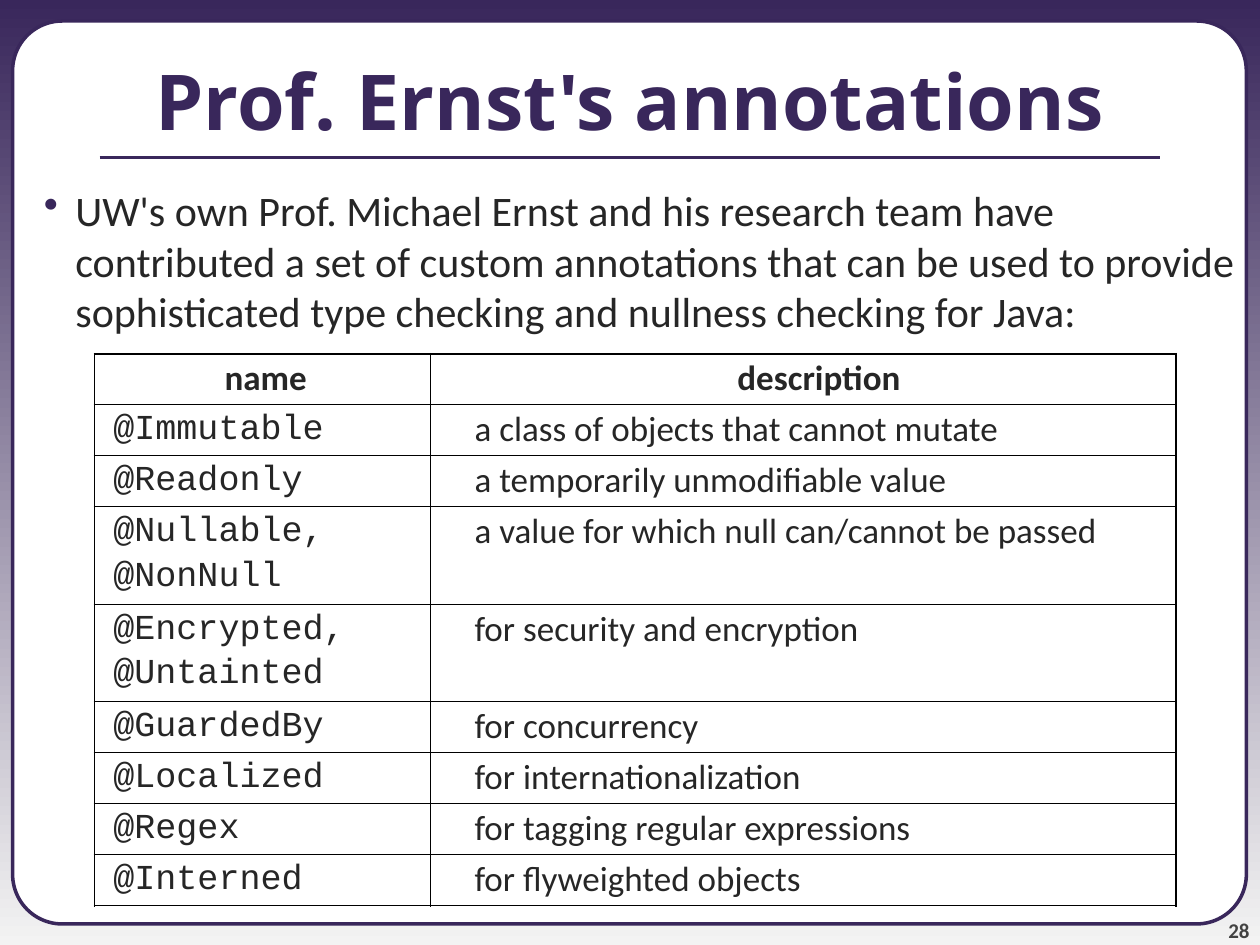
import pptx
import pptx.util
import pptx.dml.color
import pptx.enum.shapes
import pptx.enum.text
import pptx.oxml
import pptx.oxml.ns

ALIGN = pptx.enum.text.PP_ALIGN
ANCHOR = pptx.enum.text.MSO_ANCHOR
Pt = pptx.util.Pt
rgb = pptx.dml.color.RGBColor.from_string

THEME = {
    "purple": "39275B", "pale": "F3F3F3", "white": "FFFFFF",
    "ink": "262626", "grey": "424242", "rule": "000000",
    "title": {"name": "Open Sans", "size": Pt(44), "bold": True},
    "body": {"name": "Calibri", "size": Pt(24), "bold": False},
    "number": {"name": "Calibri", "size": Pt(12), "bold": True},
    "header": {"name": "Calibri", "size": Pt(20), "bold": True},
    "code": {"name": "Courier New", "size": Pt(20), "bold": False},
    "cell": {"name": "Calibri", "size": Pt(20), "bold": False},
    "outer": 1.08, "inner": 0.45,
}

deck = pptx.Presentation()
deck.slide_width = pptx.util.Inches(10)
deck.slide_height = pptx.util.Inches(7.5)
slide = deck.slides.add_slide(deck.slide_layouts[6])
UNIT = deck.slide_width / 120  # the grid has 120 columns and 90 rows


def grid(*counts):
    """Turn counts of grid columns or rows into lengths."""
    return [round(count * UNIT) for count in counts]


def write(frame, lines, style, color, align, margins=(1.2, 0.6), anchor=ANCHOR.TOP,
          left=0, indent=0, spacing=None, bullet=None):
    """Fill a text frame or table cell with one paragraph for each line."""
    text_frame = getattr(frame, "text_frame", frame)
    text_frame.word_wrap = True
    side, edge = grid(*margins)
    for name, value in {"margin_left": side, "margin_right": side, "margin_top": edge,
                        "margin_bottom": edge, "vertical_anchor": anchor}.items():
        setattr(frame, name, value)
    for index, line in enumerate(lines):
        para = text_frame.add_paragraph() if index else text_frame.paragraphs[0]
        properties = para._p.get_or_add_pPr()
        margin, first = grid(left, indent)
        properties.set("marL", str(margin))
        properties.set("indent", str(first))
        if bullet:
            for markup in (f'<a:buClr %s><a:srgbClr val="{THEME["purple"]}"/></a:buClr>',
                           f'<a:buChar %s char="{bullet}"/>'):
                properties.append(pptx.oxml.parse_xml(markup % pptx.oxml.ns.nsdecls("a")))
        para.alignment = align
        para.line_spacing = spacing
        if index:
            para.space_before = Pt(5)
        span = para.add_run()
        span.text = line
        for name, value in THEME[style].items():
            setattr(span.font, name, value)
        span.font.color.rgb = rgb(THEME[color])


# Background, panel and title rule
backdrop = slide.background.fill
backdrop.gradient()
backdrop.gradient_angle = 270
for stop, color, position in zip(backdrop.gradient_stops, ("purple", "pale"), (0, 1)):
    stop.color.rgb = rgb(THEME[color])
    stop.position = position

panel = slide.shapes.add_shape(pptx.enum.shapes.MSO_SHAPE.ROUNDED_RECTANGLE,
                               *grid(1.2, 2, 117.5, 86))
panel.adjustments[0] = 0.055
panel.shadow.inherit = False
panel.fill.solid()
panel.fill.fore_color.rgb = rgb(THEME["white"])
panel.line.color.rgb = rgb(THEME["purple"])
panel.line.width = Pt(2)

title_rule = slide.shapes.add_connector(pptx.enum.shapes.MSO_CONNECTOR.STRAIGHT,
                                        *grid(9.5, 15, 110.5, 15))
title_rule.line.color.rgb = rgb(THEME["purple"])
title_rule.line.width = Pt(2.25)
title_rule._element.spPr.append(
    pptx.oxml.parse_xml(f'<a:effectLst {pptx.oxml.ns.nsdecls("a")}/>'))

# Page number, title and introduction
number_box = slide.shapes.add_textbox(*grid(109, 85, 10, 4.8))
write(number_box.text_frame, ["28"], "number", "grey", ALIGN.RIGHT,
      margins=(0, 0), anchor=ANCHOR.BOTTOM)

title_box = slide.shapes.add_textbox(*grid(0, 2, 120, 15))
write(title_box.text_frame, ["Prof. Ernst's annotations"], "title", "purple",
      ALIGN.CENTER, anchor=ANCHOR.MIDDLE)

body_box = slide.shapes.add_textbox(*grid(0, 17, 120, 73))
write(body_box.text_frame,
      ["UW's own Prof. Michael Ernst and his research team have contributed a set of "
       "custom annotations that can be used to provide sophisticated type checking "
       "and nullness checking for Java:"],
      "body", "ink", ALIGN.LEFT, left=6, indent=-3, bullet="•")

# Table of annotations
ROWS = [
    (["name"], "description"),
    (["@Immutable"], "a class of objects that cannot mutate"),
    (["@Readonly"], "a temporarily unmodifiable value"),
    (["@Nullable,", "@NonNull"], "a value for which null can/cannot be passed"),
    (["@Encrypted,", "@Untainted"], "for security and encryption"),
    (["@GuardedBy"], "for concurrency"),
    (["@Localized"], "for internationalization"),
    (["@Regex"], "for tagging regular expressions"),
    (["@Interned"], "for flyweighted objects"),
]
COLUMN_WIDTHS = (32, 71)
COLUMN_INDENTS = (0.6, 3)
ROW_HEIGHTS = {1: 4.86, 2: 9.28}  # by number of lines

heights = [ROW_HEIGHTS[len(names)] for names, _ in ROWS]
table = slide.shapes.add_table(len(ROWS), 2, *grid(9, 33.7, sum(COLUMN_WIDTHS),
                                                   sum(heights))).table
table.first_row = table.horz_banding = False
for column, width in zip(table.columns, grid(*COLUMN_WIDTHS)):
    column.width = width
for row, height in zip(table.rows, grid(*heights)):
    row.height = height

for r, (names, description) in enumerate(ROWS):
    for c, lines in enumerate((names, [description])):
        cell = table.cell(r, c)
        style = "header" if r == 0 else ("code", "cell")[c]
        write(cell, lines, style, "ink", ALIGN.LEFT if r else ALIGN.CENTER,
              left=COLUMN_INDENTS[c], spacing=0.9)
        cell.fill.background()
        outside = {"lnL": c == 0, "lnR": c == 1, "lnT": r == 0, "lnB": r == len(ROWS) - 1}
        for place, (tag, is_outer) in enumerate(outside.items()):
            weight = Pt(THEME["outer" if is_outer else "inner"])
            cell._tc.get_or_add_tcPr().insert(place, pptx.oxml.parse_xml(
                f'<a:{tag} {pptx.oxml.ns.nsdecls("a")} w="{weight}"><a:solidFill>'
                f'<a:srgbClr val="{THEME["rule"]}"/></a:solidFill></a:{tag}>'))

deck.save("out.pptx")
